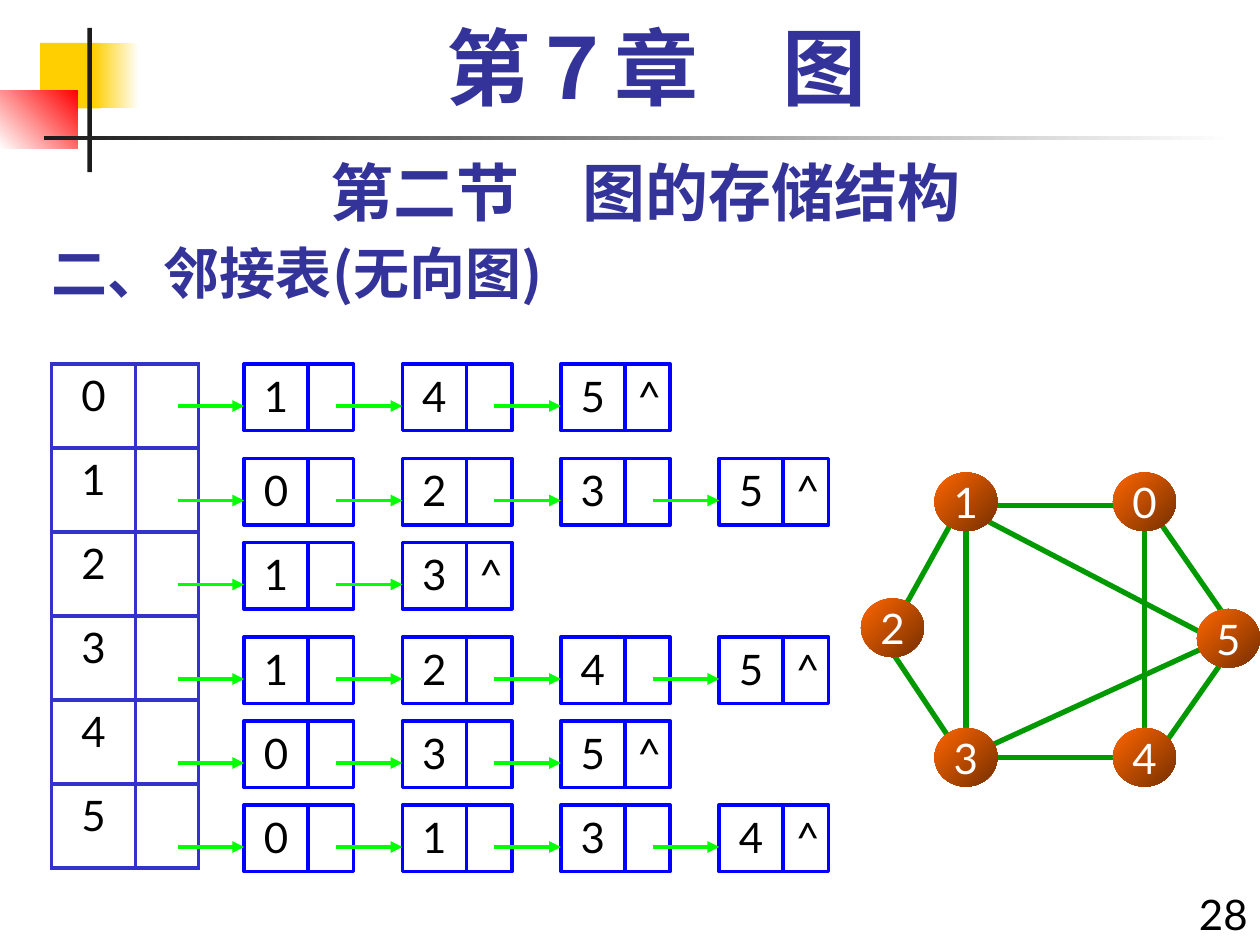
from lxml import etree
from pptx import Presentation
from pptx.dml.color import RGBColor
from pptx.enum import shapes, text
from pptx.oxml import ns
from pptx.util import Pt

LATO, CJK = "Lato", "Noto Sans CJK SC"
NAVY, BLACK, WHITE = "333399", "000000", "FFFFFF"
LEFT, CENTER, RIGHT = text.PP_ALIGN.LEFT, text.PP_ALIGN.CENTER, text.PP_ALIGN.RIGHT
TOP, MIDDLE, BOTTOM = (text.MSO_ANCHOR.TOP, text.MSO_ANCHOR.MIDDLE,
                       text.MSO_ANCHOR.BOTTOM)
RECT, OVAL = shapes.MSO_SHAPE.RECTANGLE, shapes.MSO_SHAPE.OVAL

# Adjacency list: vertex -> neighbours, and the top of each chain
ADJACENCY = [[1, 4, 5], [0, 2, 3, 5], [1, 3], [1, 2, 4, 5], [0, 3, 5], [0, 1, 3, 4]]
CHAIN_TOPS = [208, 262, 310, 364, 412, 460]
CHAIN_LEFT, CHAIN_STEP = 139.5, 90.5
KEY_W, LINK_W, CELL_H = 36.5, 26, 38
ARROW_LEN, ARROW_DROP = 38, 24

# Graph drawing: left and top of each vertex, and the ends of each edge
VERTICES = {1: (534, 270), 3: (534, 416), 2: (492, 342),
            5: (684, 348), 4: (636, 416), 0: (636, 270)}
EDGES = [(642, 289, 570, 289), (654, 301, 654, 420.5), (660, 294.5, 702, 355),
         (546, 294.5, 516, 348.5), (552, 427, 552, 301), (696, 366.5, 558, 294.5),
         (546, 427, 510, 373), (648, 433, 558, 433), (696, 366.5, 564, 427),
         (702, 373, 660, 433)]


def color(value):
    return RGBColor.from_string(value)


def sub(parent, tag, **attrs):
    return etree.SubElement(parent, ns.qn(tag), attrs)


def write(tf, words, size=24, font=LATO, fill=BLACK, bold=False, align=CENTER,
          anchor=TOP):
    tf.vertical_anchor = anchor
    p = tf.paragraphs[0]
    p.alignment = align
    r = p.add_run()
    r.text = words
    r.font.size, r.font.name, r.font.bold = Pt(size), font, bold
    r.font.color.rgb = color(fill)
    sub(r._r.get_or_add_rPr(), "a:ea", typeface=CJK)
    return p


def add_text(parent, box, words, **style):
    tf = parent.add_textbox(*map(Pt, box)).text_frame
    tf.word_wrap = True
    return write(tf, words, **style)


def add_block(parent, kind, box, fill=None, line=None, angle=0):
    """Preset shape; a pair of fill colours makes a gradient, angle clockwise."""
    sp = parent.add_shape(kind, *map(Pt, box))
    sp.shadow.inherit = False
    if fill is None:
        sp.fill.background()
    elif isinstance(fill, tuple):
        sp.fill.gradient()
        sp.fill.gradient_angle = (360 - angle) % 360
        for stop, value in zip(sp.fill.gradient_stops, fill):
            stop.color.rgb = color(value)
    else:
        sp.fill.solid()
        sp.fill.fore_color.rgb = color(fill)
    if line:
        sp.line.color.rgb = color(line)
        sp.line.width = Pt(2)
    else:
        sp.line.fill.background()
    return sp


def add_line(parent, ends, value, width, arrow=False):
    cx = parent.add_connector(shapes.MSO_CONNECTOR.STRAIGHT, *map(Pt, ends))
    cx.line.color.rgb = color(value)
    cx.line.width = Pt(width)
    if arrow:
        sub(cx.line._get_or_add_ln(), "a:tailEnd", type="triangle")
    sub(cx._element.spPr, "a:effectLst")


def add_decoration(parent):
    add_block(parent, RECT, (23, 24.5, 34.5, 37.5), "FFCF01")
    add_block(parent, RECT, (53.5, 24.5, 26, 37.5), ("FFCF01", WHITE))
    add_block(parent, RECT, (0, 51.5, 44.5, 33.5), (WHITE, "FF0000"), angle=315)
    add_block(parent, RECT, (50, 16, 2.5, 82.5), "1C1C1C")
    add_block(parent, RECT, (25, 77.5, 680.5, 2.5), ("1C1C1C", WHITE))


def add_graph(parent):
    for ends in EDGES:
        add_line(parent, ends, "009900", 3)
    for name, (x, y) in VERTICES.items():
        sp = add_block(parent, OVAL, (x, y, 36, 33.5), ("FF6600", "762F00"), angle=45)
        tf = sp.text_frame
        tf.word_wrap = False
        tf.margin_left = tf.margin_right = 0
        write(tf, str(name), fill=WHITE, anchor=MIDDLE)


def set_borders(cell, value, width):
    tc_pr = cell._tc.get_or_add_tcPr()
    for i, side in enumerate(("a:lnL", "a:lnR", "a:lnT", "a:lnB")):
        ln = etree.Element(ns.qn(side), w=str(Pt(width)))
        sub(sub(ln, "a:solidFill"), "a:srgbClr", val=value)
        tc_pr.insert(i, ln)


def add_vertex_table(parent):
    rows = len(ADJACENCY)
    table = parent.add_table(rows, 2, Pt(29.5), Pt(208), Pt(84), Pt(48 * rows)).table
    table.first_row = table.horz_banding = False
    for column, width in zip(table.columns, (48, 36)):
        column.width = Pt(width)
    for i, row in enumerate(table.rows):
        row.height = Pt(48)
        for cell in row.cells:
            cell.fill.background()
            set_borders(cell, "3333CC", 2.25)
        write(row.cells[0].text_frame, str(i))


def add_cell(parent, box, words):
    sp = add_block(parent, RECT, box, line="0000FF")
    if words:
        write(sp.text_frame, words)


def add_chain(parent, top, neighbours):
    last = len(neighbours) - 1
    for i, name in enumerate(neighbours):
        x, y = CHAIN_LEFT + i * CHAIN_STEP, top + ARROW_DROP
        add_cell(parent, (x, top, KEY_W, CELL_H), str(name))
        add_cell(parent, (x + KEY_W, top, LINK_W, CELL_H), "^" if i == last else "")
    for i in range(len(neighbours)):
        x = CHAIN_LEFT + i * CHAIN_STEP
        add_line(parent, (x - ARROW_LEN, y, x, y), "00FF00", 2.25, arrow=True)


def main():
    prs = Presentation()
    prs.slide_width, prs.slide_height = Pt(720), Pt(540)
    s = prs.slides.add_slide(prs.slide_layouts[6]).shapes

    add_decoration(s)
    add_text(s, (22.5, 124, 522, 54), "二、邻接表(无向图)", size=32, font=CJK,
             fill=NAVY, bold=True, align=LEFT, anchor=BOTTOM)
    add_text(s, (672, 504, 48, 36), "28", align=RIGHT)
    add_text(s, (36, 84, 666, 50.5), "第二节　图的存储结构", size=36, fill=NAVY, bold=True)
    p = add_text(s, (48, 12, 654, 60), "第７章　图", size=48, font="Times New Roman",
                 fill=NAVY, bold=True)
    p.line_spacing = 0.9

    add_graph(s.add_group_shape().shapes)
    add_vertex_table(s)
    chains = s.add_group_shape().shapes
    for top, neighbours in zip(CHAIN_TOPS, ADJACENCY):
        add_chain(chains, top, neighbours)
    prs.save("out.pptx")


if __name__ == "__main__":
    main()
